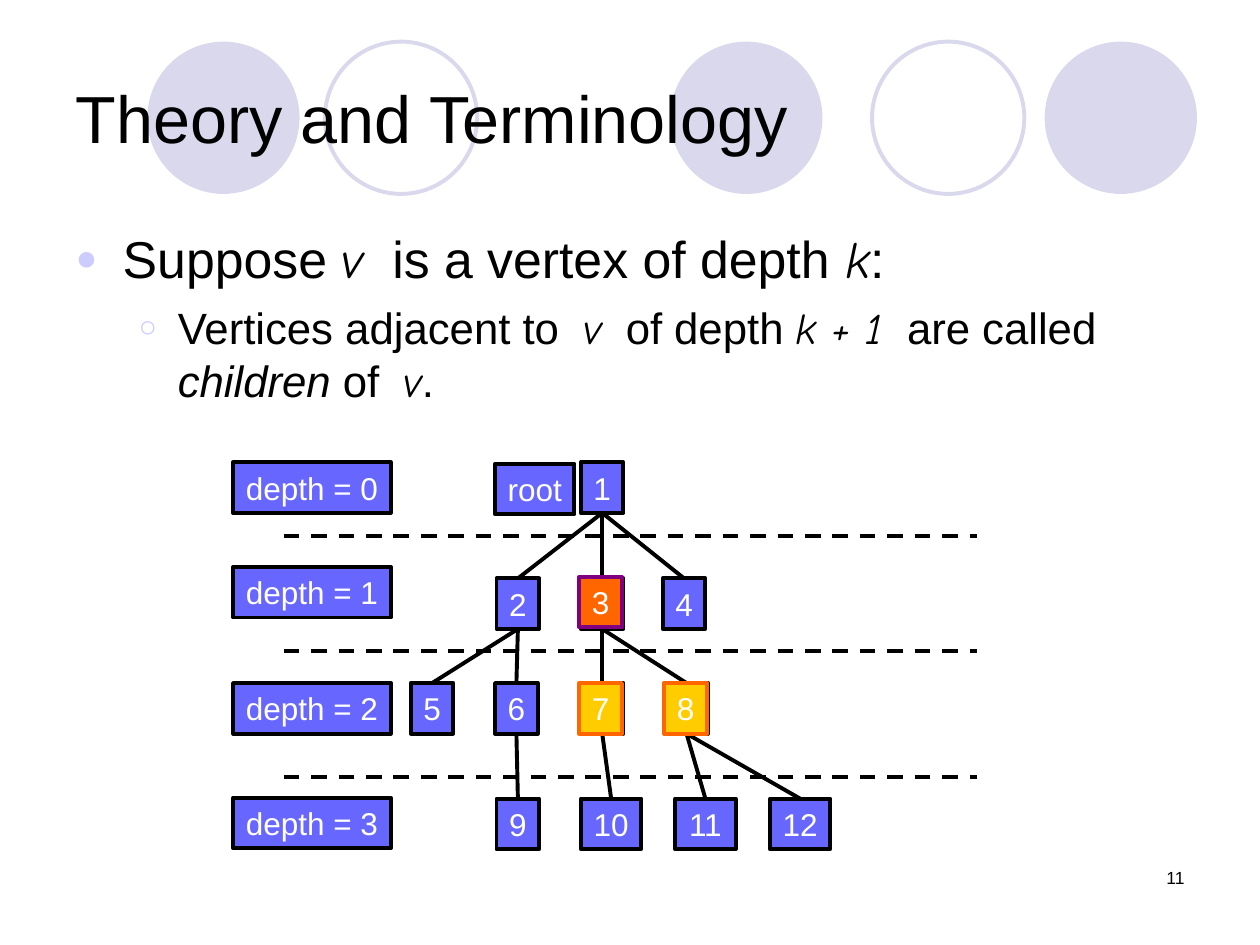
from lxml import etree
from pptx import Presentation
from pptx.dml.color import RGBColor
from pptx.enum.dml import MSO_LINE
from pptx.enum.shapes import MSO_CONNECTOR, MSO_SHAPE
from pptx.enum.text import MSO_ANCHOR, MSO_AUTO_SIZE, PP_ALIGN
from pptx.oxml.ns import qn
from pptx.util import Cm, Pt

STRAIGHT = MSO_CONNECTOR.STRAIGHT
OVAL, RECT = MSO_SHAPE.OVAL, MSO_SHAPE.RECTANGLE
BOTTOM, TOP = 2, 0
FONT, MATH_FONT = "Arial", "Comic Neue"
COLOURS = {
    "text": "000000", "light": "FFFFFF", "circle": "D9D8EC", "bullet": "CCCCFF",
    "node": "6767FF", "parent": "FF6600", "parent line": "800080", "child": "FFCC00",
}

# Content: runs are (text, style), lengths are in cm
TITLE = "Theory and Terminology"
PAGE_NUMBER = "11"
POINTS = [
    {"level": 0, "bullet": "●", "size": 29.6, "margin": 0.95, "hang": 0.95, "before": 0,
     "runs": [("Suppose ", ""), ("v", "math"), ("  is a vertex of depth ", ""),
              ("k", "math"), (":", "")]},
    {"level": 1, "bullet": "○", "size": 25, "margin": 2.06, "hang": 0.79, "before": 6.8,
     "runs": [("Vertices adjacent to  ", ""), ("v", "math"), ("  of depth ", ""),
              ("k + 1", "math"), ("  are called ", ""), ("children", "italic"),
              (" of  ", ""), ("v", "math"), (".", "")]},
]
CIRCLES = [(13.51, True), (21.06, True), (2.97, True), (17.58, False), (6.55, False)]

# One row per depth: top of the row and left of each vertex
TREE_ROWS = [
    (9.32, {1: 11.71}),
    (11.66, {2: 10.01, 3: 11.71, 4: 13.36}),
    (13.77, {5: 8.28, 6: 9.98, 7: 11.71, 8: 13.41}),
    (16.1, {9: 10.01, 10: 11.71, 11: 13.61, 12: 15.52}),
]
CHILDREN = {1: [2, 3, 4], 2: [5, 6], 3: [7, 8], 6: [9], 7: [10], 8: [11, 12]}
DEPTH_TOPS = [9.32, 11.43, 13.77, 16.08]
DIVIDER_TOPS = [10.8, 13.13, 15.67]
HIGHLIGHTS = [
    (3, 11.68, 11.63, "parent", "parent line"),
    (7, 11.68, 13.77, "child", "parent"),
    (8, 13.39, 13.77, "child", "parent"),
]
BOX_HEIGHT = 1.02


def rgb(name):
    return RGBColor.from_string(COLOURS[name])


def set_font(paragraph, size, colour="text"):
    paragraph.font.name = FONT
    paragraph.font.size = Pt(size)
    paragraph.font.color.rgb = rgb(colour)


def place(shape, left, top, width, height):
    shape.left, shape.top, shape.width, shape.height = map(Cm, (left, top, width, height))


def add_bullet(paragraph, char, margin, hang):
    props = paragraph._p.get_or_add_pPr()
    props.set("marL", str(Cm(margin)))
    props.set("indent", str(-Cm(hang)))
    colour = etree.SubElement(props, qn("a:buClr"))
    etree.SubElement(colour, qn("a:srgbClr"), val=COLOURS["bullet"])
    etree.SubElement(props, qn("a:buSzPct"), val="70000")
    etree.SubElement(props, qn("a:buFont"), typeface=FONT)
    etree.SubElement(props, qn("a:buChar"), char=char)


def add_box(shapes, text, left, top, width, fill="node", line="text"):
    box = shapes.add_shape(RECT, Cm(left), Cm(top), Cm(width), Cm(BOX_HEIGHT))
    box.shadow.inherit = False
    box.fill.solid()
    box.fill.fore_color.rgb = rgb(fill)
    box.line.color.rgb = rgb(line)
    box.line.width = Pt(2.25)
    box.text_frame.word_wrap = False
    label = box.text_frame.paragraphs[0]
    label.text = str(text)
    label.alignment = PP_ALIGN.CENTER
    set_font(label, 18, "light")
    return box


def add_line(shapes, x1=0, y1=0, x2=0, y2=0):
    line = shapes.add_connector(STRAIGHT, Cm(x1), Cm(y1), Cm(x2), Cm(y2))
    line.line.color.rgb = rgb("text")
    line.line.width = Pt(2.25)
    etree.SubElement(line._element.spPr, qn("a:effectLst"))
    return line


def node_width(number):
    return 0.86 if number < 10 else 1.22


def main():
    prs = Presentation()
    prs.slide_width, prs.slide_height = Cm(25.4), Cm(19.05)
    slide = prs.slides.add_slide(prs.slide_layouts[1])
    shapes = slide.shapes

    # Title
    title = shapes.title
    place(title, 1.27, 0.76, 22.86, 3.18)
    title.text_frame.text = TITLE
    title.text_frame.vertical_anchor = MSO_ANCHOR.MIDDLE
    title.text_frame.auto_size = MSO_AUTO_SIZE.NONE
    heading = title.text_frame.paragraphs[0]
    heading.alignment = PP_ALIGN.LEFT
    set_font(heading, 38)

    # Circles behind the title
    for left, filled in CIRCLES:
        circle = shapes.add_shape(OVAL, Cm(left), Cm(0.84), Cm(3.07), Cm(3.07))
        circle.shadow.inherit = False
        if filled:
            circle.fill.solid()
            circle.fill.fore_color.rgb = rgb("circle")
            circle.line.fill.background()
        else:
            circle.fill.background()
            circle.line.color.rgb = rgb("circle")
            circle.line.width = Pt(2.25)
        title.element.addprevious(circle.element)

    # Bulleted definition
    body = slide.placeholders[1]
    place(body, 1.27, 4.45, 22.86, 4.01)
    body.text_frame.auto_size = MSO_AUTO_SIZE.NONE
    for index, point in enumerate(POINTS):
        paragraph = body.text_frame.add_paragraph() if index else body.text_frame.paragraphs[0]
        paragraph.level = point["level"]
        add_bullet(paragraph, point["bullet"], point["margin"], point["hang"])
        paragraph.space_before = Pt(point["before"])
        set_font(paragraph, point["size"])
        for text, style in point["runs"]:
            run = paragraph.add_run()
            run.text = text
            if style:
                run.font.italic = True
            if style == "math":
                run.font.name = MATH_FONT

    # Tree vertices and edges
    vertices = {
        number: add_box(shapes, number, left, top, node_width(number))
        for top, row in TREE_ROWS for number, left in row.items()
    }
    for parent, children in CHILDREN.items():
        for child in children:
            edge = add_line(shapes)
            edge.begin_connect(vertices[parent], BOTTOM)
            edge.end_connect(vertices[child], TOP)

    # Root and depth labels, dashed dividers
    add_box(shapes, "root", 9.98, 9.35, 1.6)
    for depth, top in enumerate(DEPTH_TOPS):
        add_box(shapes, f"depth = {depth}", 4.7, top, 3.18)
    for top in DIVIDER_TOPS:
        add_line(shapes, 5.72, top, 19.69, top).line.dash_style = MSO_LINE.DASH

    # Highlighted parent and its children
    for number, left, top, fill, line in HIGHLIGHTS:
        add_box(shapes, number, left, top, node_width(number), fill, line)

    # Page number
    page = shapes.add_textbox(Cm(18.21), Cm(17.35), Cm(5.92), Cm(1.27))
    page.text_frame.word_wrap = True
    number = page.text_frame.paragraphs[0]
    number.text = PAGE_NUMBER
    number.alignment = PP_ALIGN.RIGHT
    set_font(number, 10)

    prs.save("out.pptx")


if __name__ == "__main__":
    main()
